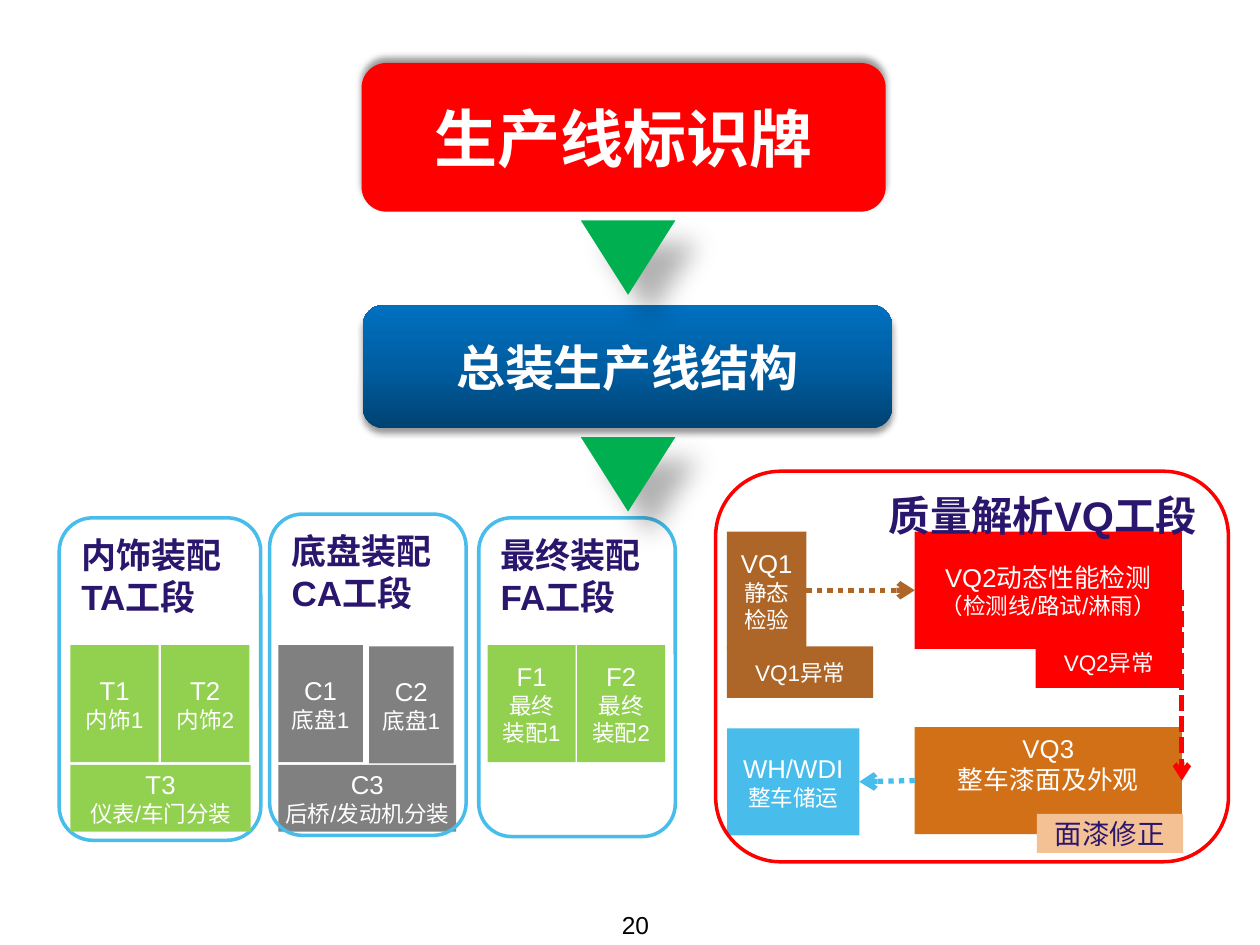
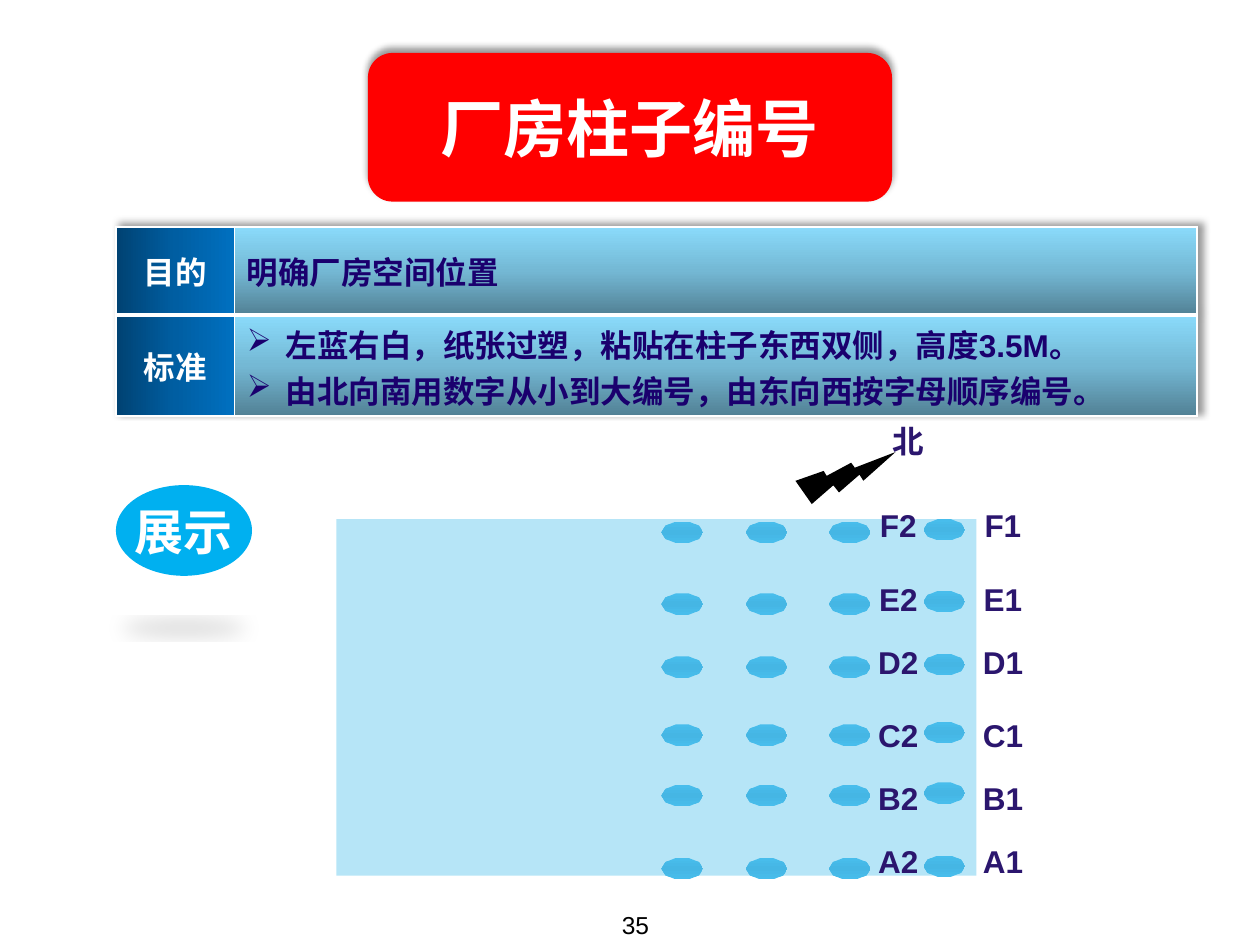
from lxml import etree
from pptx import Presentation
from pptx import util as u
from pptx.dml.color import RGBColor
from pptx.enum import dml, lang, shapes, text
from pptx.oxml.ns import qn

KIND = shapes.MSO_SHAPE
MIDDLE, TOP = text.MSO_ANCHOR.MIDDLE, text.MSO_ANCHOR.TOP
LEFT, CENTER, RIGHT = text.PP_ALIGN.LEFT, text.PP_ALIGN.CENTER, text.PP_ALIGN.RIGHT
DOTS, DASHES = dml.MSO_LINE.ROUND_DOT, dml.MSO_LINE.SQUARE_DOT

FONT = "Arial"
WHITE, BLACK, RED, NAVY = "FFFFFF", "000000", "FF0000", "2B166E"
GREEN, LIME, GREY, SKY = "00B050", "92D050", "808080", "48BDEC"
BROWN, ORANGE, PEACH = "AD6627", "D27018", "F3C194"
DEEP_BLUE = ("004272", "005EA2", "0070C0")
PALE_BLUE = ("528195", "74B8D4", "8ADBFB")
PILLAR_BLUE = (SKY, "45B6E4", SKY)
HEAD, BODY = 14.7, 12.9  # text sizes inside the station boxes
INSETS = (1, 0.5, 1, 0.5)
RAISED = dict(alpha=40, blur=4, distance=3, angle=270)
SUNK = dict(RAISED, angle=90)


def color(value):
    return RGBColor.from_string(value)


def add_node(parent, tag, **attributes):
    return etree.SubElement(parent, qn(tag), {k: str(v) for k, v in attributes.items()})


def paint(filled, element, fill, angle=90):
    """Fill with one colour, or with evenly spaced gradient stops; angle is counterclockwise."""
    if fill is None:
        filled.fill.background()
    elif isinstance(fill, str):
        filled.fill.solid()
        filled.fill.fore_color.rgb = color(fill)
    else:
        filled.fill.gradient()
        filled.fill.gradient_angle = angle
        stops = next(element.iter(qn("a:gsLst")))
        for old_stop in list(stops):
            stops.remove(old_stop)
        for i, shade in enumerate(fill):
            stop = add_node(stops, "a:gs", pos=i * 100000 // (len(fill) - 1))
            add_node(stop, "a:srgbClr", val=shade)


def add_shadow(effects, alpha, blur, distance, angle, **scale):
    shadow = add_node(effects, "a:outerShdw", blurRad=u.Pt(blur), dist=u.Pt(distance),
                      dir=angle * 60000, **scale, rotWithShape=0)
    add_node(add_node(shadow, "a:srgbClr", val=BLACK), "a:alpha", val=alpha * 1000)


class Deck:
    """Style and current slide; lengths count cells of a grid of 100 columns by 75 rows."""

    def __init__(self):
        self.show = Presentation()
        self.show.slide_width, self.show.slide_height = u.Inches(10), u.Inches(7.5)
        self.cell = self.show.slide_width / 100

    def span(self, *cells):
        return [u.Emu(round(c * self.cell)) for c in cells]

    def new_slide(self, title, title_at, number):
        self.slide = self.show.slides.add_slide(self.show.slide_layouts[6])
        page = self.slide.shapes.add_textbox(*self.span(29.2, 71.7, 23.3, 5.2))
        self.set_text(page.text_frame, [(number, 14)], BLACK, RIGHT, TOP)
        self.banner(title, (*title_at, 41.6, 11.8), 36, RED, RAISED)

    def set_text(self, frame, lines, ink, align=CENTER, anchor=MIDDLE, bold=False,
                 wrap=True, insets=INSETS):
        frame.word_wrap, frame.vertical_anchor = wrap, anchor
        (frame.margin_left, frame.margin_top,
         frame.margin_right, frame.margin_bottom) = self.span(*insets)
        self.add_lines(frame, lines, ink, align, bold)

    def add_lines(self, frame, lines, ink, align, bold):
        for i, (words, size) in enumerate(lines):
            paragraph = frame.add_paragraph() if i else frame.paragraphs[0]
            paragraph.alignment = align
            run = paragraph.add_run()
            run.text = words
            run.font.name, run.font.size, run.font.bold = FONT, u.Pt(size), bold
            run.font.color.rgb = color(ink)
            run.font.language_id = lang.MSO_LANGUAGE_ID.SIMPLIFIED_CHINESE

    def shape(self, kind, at, fill=None, outline=None, shadow=None):
        shape = self.slide.shapes.add_shape(kind, *self.span(*at))
        paint(shape, shape._element, fill)
        if outline:
            shape.line.color.rgb, shape.line.width = color(outline), u.Pt(2)
        else:
            shape.line.fill.background()
        shape.shadow.inherit = False
        if shadow:
            add_shadow(shape._element.spPr.find(qn("a:effectLst")), **shadow)
        return shape

    def banner(self, words, at, size, fill, shadow, kind=KIND.ROUNDED_RECTANGLE):
        banner = self.shape(kind, at, fill, shadow=shadow)
        self.set_text(banner.text_frame, [(words, size)], WHITE, bold=True, wrap=False)

    def station(self, at, fill, *lines, ink=WHITE, **layout):
        station = self.shape(KIND.RECTANGLE, at, fill)
        self.set_text(station.text_frame, lines, ink, **layout)
        return station

    def section(self, words, at, outline=SKY, size=20, align=LEFT, insets=INSETS):
        frame = self.shape(KIND.ROUNDED_RECTANGLE, at, outline=outline)
        self.set_text(frame.text_frame, [(words, size)], NAVY, align, TOP, True, insets=insets)

    def down_arrow(self, top):
        arrow = self.shape(KIND.ISOSCELES_TRIANGLE, (46.1, top, 7.5, 5.9), GREEN,
                           shadow=dict(alpha=30, blur=15, distance=18, angle=45))
        arrow._element.spPr.find(qn("a:xfrm")).set("flipV", "1")

    def flow(self, start, start_side, end, end_side, ink, dash):
        line = self.slide.shapes.add_connector(shapes.MSO_CONNECTOR.STRAIGHT, 0, 0, 0, 0)
        line.begin_connect(start, start_side)
        line.end_connect(end, end_side)
        line.line.color.rgb, line.line.width = color(ink), u.Pt(3)
        line.line.dash_style = dash
        add_node(line.get_or_add_ln(), "a:tailEnd", type="arrow")
        add_node(line._element.spPr, "a:effectLst")

    def label(self, words, left, top):
        label = self.shape(KIND.ROUNDED_RECTANGLE, (left, top, 4.2, 4.2))
        self.set_text(label.text_frame, [(words, 18)], NAVY, bold=True, wrap=False)

    def table(self, at, widths, heights, rows):
        """Each row is a heading, its lines, and whether the lines carry bullets."""
        table = self.slide.shapes.add_table(len(rows), 2, *self.span(*at)).table
        table.horz_banding = False
        effects = etree.Element(qn("a:effectLst"))
        add_shadow(effects, **dict(RAISED, angle=315))
        table._tbl.tblPr.insert(0, effects)
        for column, width in zip(table.columns, self.span(*widths)):
            column.width = width
        for r, (heading, lines, bulleted) in enumerate(rows):
            table.rows[r].height = self.span(heights[r])[0]
            name, detail = table.cell(r, 0), table.cell(r, 1)
            self.table_cell(name, [heading], WHITE, CENTER, DEEP_BLUE, 0, r)
            self.table_cell(detail, lines, "1A006E", LEFT, PALE_BLUE, 90, r)
            if bulleted:
                indent = self.span(3.1)[0]
                for paragraph in detail.text_frame.paragraphs:
                    props = paragraph._p.get_or_add_pPr()
                    props.set("marL", str(indent))
                    props.set("indent", str(-indent))
                    add_node(props, "a:buChar", char="➢")

    def table_cell(self, cell, lines, ink, align, fill, angle, row):
        cell.vertical_anchor = MIDDLE
        self.add_lines(cell.text_frame, [(line, 18) for line in lines], ink, align, True)
        props = cell._tc.get_or_add_tcPr()
        for side in "LRTB":
            heavy = (row, side) in ((0, "B"), (1, "T"))
            border = add_node(props, f"a:ln{side}", w=u.Pt(3 if heavy else 1))
            add_node(add_node(border, "a:solidFill"), "a:srgbClr", val=WHITE)
        paint(cell, cell._tc, fill, angle)


def line_structure(deck):
    deck.new_slide("生产线标识牌", (28.7, 5), "20")

    deck.section("内饰装配TA工段", (4.7, 41.1, 16, 25.6))
    for left, top, width, fill, code, task in (
            (5.6, 51.2, 7, LIME, "T1", "内饰1"), (12.8, 51.2, 7, LIME, "T2", "内饰2"),
            (22.1, 51.2, 6.7, GREY, "C1", "底盘1"), (29.3, 51.3, 6.7, GREY, "C2", "底盘1"),
            (38.7, 51.2, 7, LIME, "F1", "最终装配1"), (45.8, 51.2, 7, LIME, "F2", "最终装配2")):
        deck.station((left, top, width, 9.3), fill, (code, HEAD), (task, BODY))
    deck.station((5.6, 60.7, 14.3, 5.3), LIME, ("T3", HEAD), ("仪表/车门分装", BODY))
    deck.station((22.1, 60.7, 14.1, 5.3), GREY, ("C3", HEAD), ("后桥/发动机分装", BODY),
                 insets=(0, 0, 0, 0))
    deck.section("底盘装配CA工段", (21.4, 40.8, 15.6, 25.5))
    deck.section("最终装配FA工段", (38, 41.1, 15.6, 25.3))

    dynamic = deck.station((72.6, 42.2, 21.2, 9.3), RED, ("VQ2动态性能检测", HEAD),
                           ("（检测线/路试/淋雨）", BODY), insets=(0, 0.5, 0, 0.5))
    finish = deck.station((72.6, 57.7, 21.2, 8.5), ORANGE, ("VQ3", HEAD),
                          ("整车漆面及外观", HEAD), anchor=TOP)
    deck.station((57.7, 51.3, 11.6, 4.1), BROWN, ("VQ1异常", BODY))
    static = deck.station((57.7, 42.2, 6.3, 9.3), BROWN, ("VQ1", HEAD), ("静态检验", BODY))
    storage = deck.station((57.7, 57.8, 10.5, 8.5), SKY, ("WH/WDI", HEAD),
                           ("整车储运", BODY), insets=(0, 0, 0, 0))
    deck.flow(static, 3, dynamic, 1, BROWN, DOTS)
    deck.flow(finish, 1, storage, 3, SKY, DOTS)
    deck.flow(dynamic, 3, finish, 3, RED, DASHES)
    deck.station((82.2, 50.5, 11.6, 4.1), RED, ("VQ2异常", BODY))
    deck.station((82.3, 64.6, 11.6, 3.1), PEACH, ("面漆修正", 15.7), ink=NAVY)
    deck.section("质量解析VQ工段", (56.8, 37.4, 40.7, 31), RED, 23.6, RIGHT, (1, 0, 1, 0.5))

    deck.banner("总装生产线结构", (28.8, 24.2, 42, 9.8), 28, DEEP_BLUE, SUNK)
    for top in (17.5, 34.7):
        deck.down_arrow(top)


def pillar_numbers(deck):
    deck.new_slide("厂房柱子编号", (29.2, 4.2), "35")
    deck.table((9.2, 18, 85.8, 15), (9.4, 76.4), (7, 8), [
        ("目的", ["明确厂房空间位置"], False),
        ("标准", ["左蓝右白，纸张过塑，粘贴在柱子东西双侧，高度3.5M。",
                "由北向南用数字从小到大编号，由东向西按字母顺序编号。"], True)])

    deck.shape(KIND.RECTANGLE, (26.7, 41.2, 50.8, 28.3), "B6E5F7")
    pillar_rows = (41.2, 46.9, 51.9, 57.3, 62.1, 67.9)
    label_rows = (39.6, 45.4, 50.4, 56.2, 61.2, 66.2)
    for letter, pillar_top, label_top in zip("FEDCBA", pillar_rows, label_rows):
        for left, drop in ((52.5, 0.2), (59.2, 0.2), (65.8, 0.2), (73.3, 0)):
            deck.shape(KIND.DECAGON, (left, pillar_top + drop, 3.3, 1.7), PILLAR_BLUE)
        for number, left in ((1, 77.5), (2, 69.2)):
            deck.label(f"{letter}{number}", left, label_top)

    deck.shape(KIND.LIGHTNING_BOLT, (64.8, 34, 4.5, 7.8), BLACK).rotation = 273.3
    deck.label("北", 70, 32.9)
    deck.banner("展示", (9.2, 38.5, 10.8, 7.2), 28, "00B0F0",
                dict(alpha=15, blur=12, distance=25, angle=90, sx=90000, sy=-19000),
                KIND.OVAL)


def main():
    deck = Deck()
    line_structure(deck)
    pillar_numbers(deck)
    deck.show.save("out.pptx")


if __name__ == "__main__":
    main()
